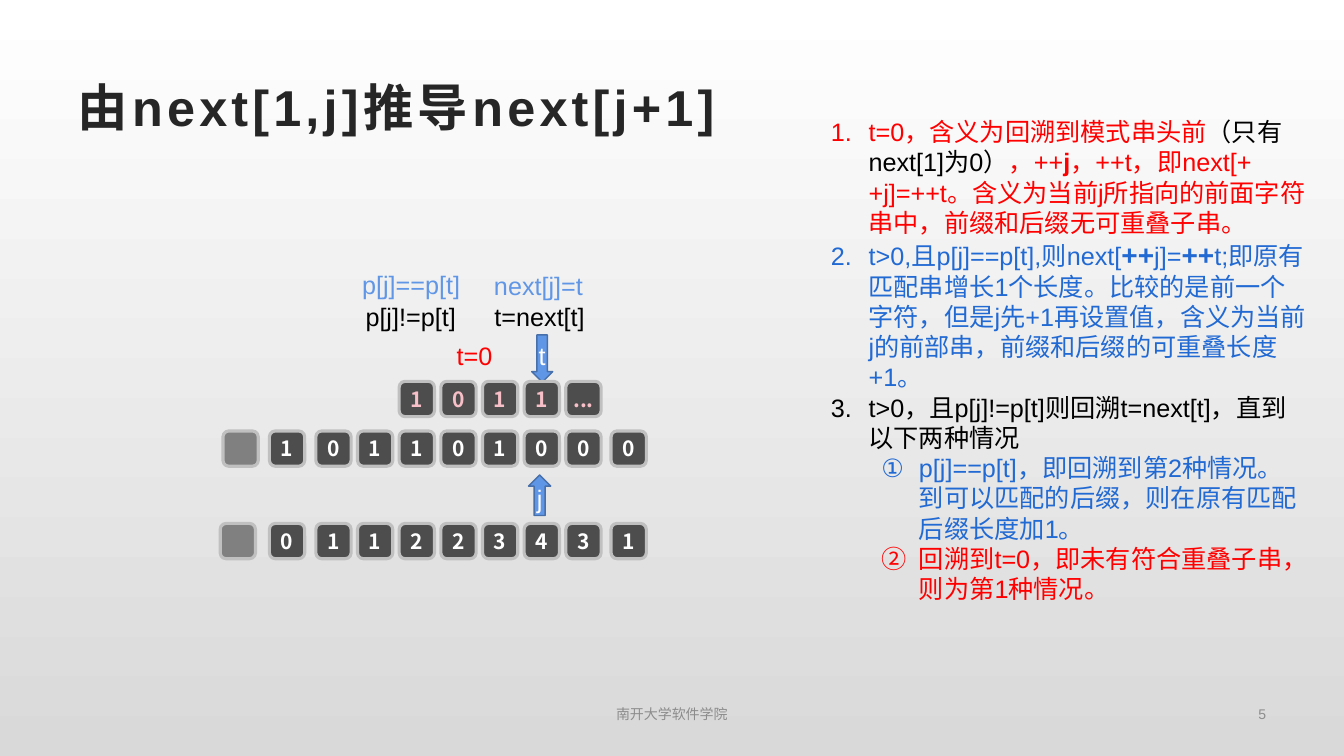
from dataclasses import dataclass

import pptx
import pptx.dml.color
import pptx.enum.shapes
import pptx.enum.text
import pptx.oxml
import pptx.oxml.ns
import pptx.util

Cm = pptx.util.Cm
Pt = pptx.util.Pt
SHAPE = pptx.enum.shapes.MSO_SHAPE
ALIGN = pptx.enum.text.PP_ALIGN
ANCHOR = pptx.enum.text.MSO_ANCHOR
FIT = pptx.enum.text.MSO_AUTO_SIZE
qn = pptx.oxml.ns.qn


@dataclass(frozen=True)
class Theme:
    latin: str = "Arial"
    asian: str = "Noto Sans CJK SC"
    title_size: int = 36
    strong_size: int = 20
    body_size: int = 18
    cell_size: int = 15
    footer_size: int = 10
    title: str = "262626"
    black: str = "000000"
    white: str = "FFFFFF"
    red: str = "FF0000"
    blue: str = "2169D3"
    light_blue: str = "6096E6"
    arrow_line: str = "476FAA"
    cell: str = "4D4D4D"
    blank: str = "808080"
    cell_line: str = "C0C0C0"
    pink: str = "F7BFC7"
    grey: str = "8C8C8C"
    page_end: str = "D9D9D9"


@dataclass(frozen=True)
class Box:
    """A rectangle in centimetres."""
    left: float
    top: float
    width: float
    height: float

    def inner(self, left, top, width, height):
        return Box(self.left + left, self.top + top, width, height)

    def lengths(self):
        return [Cm(n) for n in (self.left, self.top, self.width, self.height)]


THEME = Theme()
CELL = 0.89


def rgb(value):
    return pptx.dml.color.RGBColor.from_string(value)


def style(para, size, color, bold=False, align=None, latin=THEME.latin):
    para.alignment = align
    para.font.size = Pt(size)
    para.font.bold = bold
    para.font.color.rgb = rgb(color)
    para.font.name = latin
    props = para._p.pPr.find(qn("a:defRPr"))
    props.append(pptx.oxml.parse_xml(
        f'<a:ea {pptx.oxml.ns.nsdecls("a")} typeface="{THEME.asian}"/>'))
    return props


def add_label(page, box, text, size, color, align=ALIGN.CENTER, wrap=False,
              anchor=ANCHOR.TOP):
    frame = page.shapes.add_textbox(*box.lengths()).text_frame
    frame.word_wrap = wrap
    frame.vertical_anchor = anchor
    frame.text = text
    style(frame.paragraphs[0], size, color, align=align)


def add_block(shapes, kind, box, fill, line, line_width):
    block = shapes.add_shape(kind, *box.lengths())
    block.shadow.inherit = False
    block.fill.solid()
    block.fill.fore_color.rgb = rgb(fill)
    block.line.color.rgb = rgb(line)
    block.line.width = Pt(line_width)
    frame = block.text_frame
    frame.margin_left = frame.margin_right = 0
    frame.margin_top = frame.margin_bottom = 0
    frame.word_wrap = False
    frame.vertical_anchor = ANCHOR.MIDDLE
    return block


def add_cell(shapes, box, text="", color=THEME.white):
    fill = THEME.cell if text else THEME.blank
    block = add_block(shapes, SHAPE.ROUNDED_RECTANGLE, box, fill,
                      THEME.cell_line, 2.25)
    if text:
        block.text_frame.text = text
        style(block.text_frame.paragraphs[0], THEME.cell_size, color, True,
              ALIGN.CENTER, THEME.asian)


def add_arrow(page, kind, box, text):
    arrow = add_block(page.shapes, kind, box, THEME.light_blue,
                      THEME.arrow_line, 1)
    arrow.text_frame.text = text
    style(arrow.text_frame.paragraphs[0], THEME.body_size, THEME.white,
          align=ALIGN.CENTER)


def add_background(page):
    fill = page.background.fill
    fill.gradient()
    fill.gradient_angle = 270
    for stop, color in zip(fill.gradient_stops, (THEME.white, THEME.page_end)):
        stop.color.rgb = rgb(color)


def add_title(page, box, text):
    title = page.shapes.title
    title.left, title.top, title.width, title.height = box.lengths()
    frame = title.text_frame
    frame.text = text
    frame.auto_size = FIT.NONE
    frame.vertical_anchor = ANCHOR.MIDDLE
    props = style(frame.paragraphs[0], THEME.title_size, THEME.title, True,
                  ALIGN.LEFT)
    props.set("spc", "300")


def add_diagram(page, box):
    # Conditions above the rows
    for left, top, width, text, color in (
            (3.06, 0, 3.5, "p[j]==p[t]", THEME.light_blue),
            (6.27, 0.03, 3.5, "next[j]=t", THEME.light_blue),
            (3.05, 0.82, 3.5, "p[j]!=p[t]", THEME.black),
            (6.3, 0.82, 3.5, "t=next[t]", THEME.black),
            (5.41, 1.78, 2, "t=0", THEME.red)):
        add_label(page, box.inner(left, top, width, 1.02), text,
                  THEME.body_size, color)

    # Pointers
    add_arrow(page, SHAPE.DOWN_ARROW, box.inner(7.85, 1.78, 0.53, 1.19), "t")
    add_arrow(page, SHAPE.UP_ARROW, box.inner(7.77, 5.31, 0.56, 1.02), "j")

    # Main string and next table, then the shifted pattern
    columns = [1.24] + [2.41 + 1.05 * i for i in range(7)] + [9.85]
    for top, blank_left, digits in ((4.2, 0.07, "101101000"),
                                    (6.53, 0, "011223431")):
        add_cell(page.shapes, box.inner(blank_left, top, CELL, CELL))
        for left, digit in zip(columns, digits):
            add_cell(page.shapes, box.inner(left, top, CELL, CELL), digit)
    pattern = page.shapes.add_group_shape()
    for left, text in zip(columns[3:], ("1", "0", "1", "1", "...")):
        add_cell(pattern.shapes, box.inner(left, 2.95, CELL, CELL), text,
                 THEME.pink)


def add_cases(page, box, cases):
    frame = page.shapes.add_textbox(*box.lengths()).text_frame
    frame.word_wrap = True
    for index, (level, spans) in enumerate(cases):
        para = frame.paragraphs[0] if index == 0 else frame.add_paragraph()
        para.level = level
        props = para._p.get_or_add_pPr()
        props.set("marL", str(Cm((0.95, 2.22)[level])))
        props.set("indent", str(Cm(-0.95)))
        numbering = ("arabicPeriod", "circleNumDbPlain")[level]
        props.append(pptx.oxml.parse_xml(
            f'<a:buAutoNum {pptx.oxml.ns.nsdecls("a")} type="{numbering}"/>'))
        style(para, THEME.body_size, spans[0][1])
        for text, color, *emphasis in spans:
            span = para.add_run()
            span.text = text
            span.font.color.rgb = rgb(color)
            if emphasis:
                span.font.bold = True
                span.font.size = Pt(emphasis[0])


def add_footer(page, box, text, number):
    for part, content, align in (
            (box.inner(0, 0, 11, box.height), text, ALIGN.CENTER),
            (box.inner(box.width - 7.5, 0, 7.5, box.height), number,
             ALIGN.RIGHT)):
        add_label(page, part, content, THEME.footer_size, THEME.grey, align,
                  True, ANCHOR.MIDDLE)


def main():
    red, blue, black = THEME.red, THEME.blue, THEME.black
    body, strong = THEME.body_size, THEME.strong_size
    cases = (
        (0, (("t=0，含义为回溯到模式串头前", red), ("（只有next[1]为0）", black),
             ("，++", red), ("j", red, body),
             ("，++t，即next[++j]=++t。含义为当前j所指向的前面字符串中，"
              "前缀和后缀无可重叠子串。", red))),
        (0, (("t>0,且p[j]==p[t],则next[", blue), ("++", blue, strong),
             ("j]=", blue), ("++", blue, strong),
             ("t;即原有匹配串增长1个长度。比较的是前一个字符，但是j先+1再设置值，"
              "含义为当前j的前部串，前缀和后缀的可重叠长度+1。", blue))),
        (0, (("t>0，且p[j]!=p[t]则回溯t=next[t]，直到以下两种情况", black),)),
        (1, (("p[j]==p[t]，即回溯到第2种情况。到可以匹配的后缀，"
              "则在原有匹配后缀长度加1。", blue),)),
        (1, (("回溯到t=0，即未有符合重叠子串，则为第1种情况。", red),)),
    )
    deck = pptx.Presentation()
    deck.slide_width, deck.slide_height = Cm(33.87), Cm(19.05)
    page = deck.slides.add_slide(deck.slide_layouts.get_by_name("Title Only"))
    add_background(page)
    add_title(page, Box(1.7, 1.7, 30.48, 1.96), "由next[1,j]推导next[j+1]")
    add_diagram(page, Box(5.55, 6.66, 10.74, 7.42))
    add_cases(page, Box(20.69, 2.81, 12.5, 12.65), cases)
    add_footer(page, Box(11.43, 17.55, 20.73, 0.89), "南开大学软件学院", "5")
    deck.save("out.pptx")


if __name__ == "__main__":
    main()
